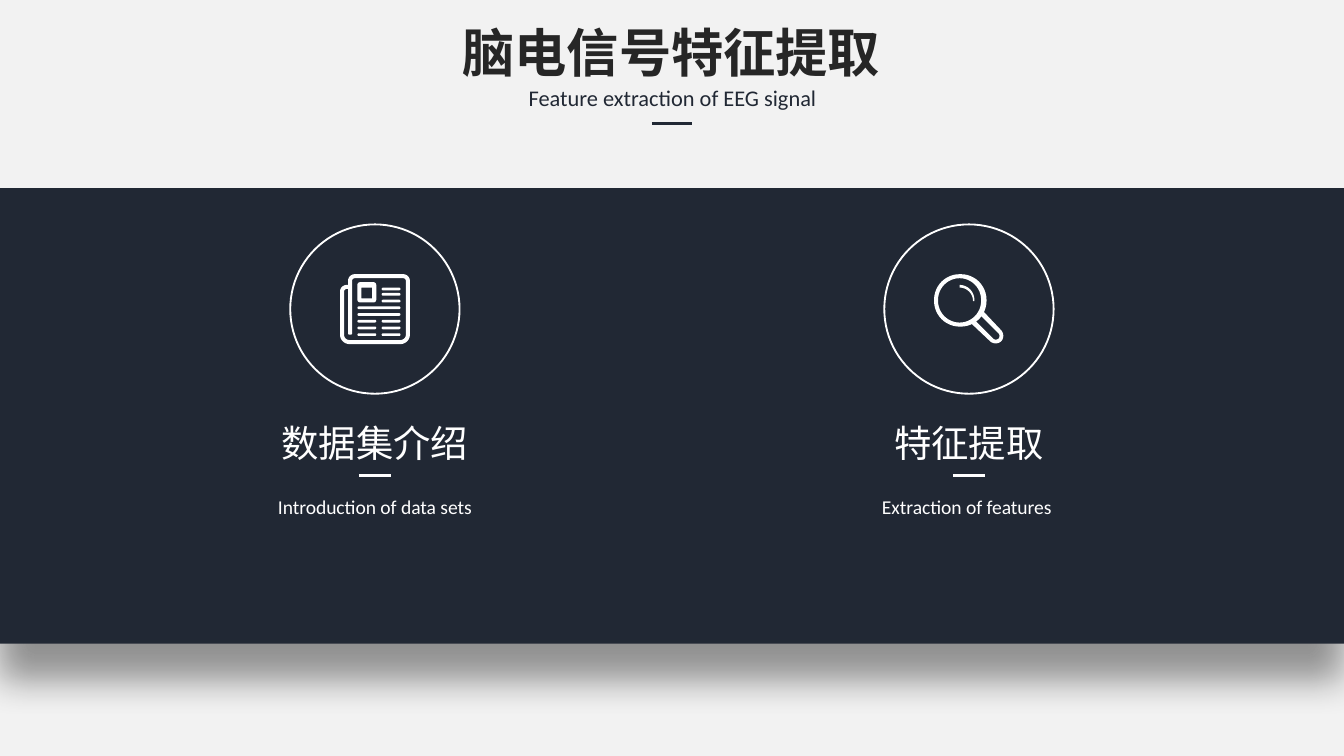
from pptx import Presentation
from pptx.dml.color import RGBColor
from pptx.enum.shapes import MSO_CONNECTOR as CONN, MSO_SHAPE as SHAPE
from pptx.enum.text import MSO_AUTO_SIZE as AUTO, PP_ALIGN as ALIGN
from pptx.oxml import parse_xml
from pptx.oxml.ns import nsdecls
from pptx.util import Inches, Pt

CJK, LATIN = "Noto Sans CJK SC", "Calibri"
NAVY, WHITE, GREY, DARK = "212834", "FFFFFF", "F2F2F2", "262626"

TITLE = "脑电信号特征提取"
SUBTITLE = "Feature extraction of EEG signal"
COLUMNS = [
    (2.79, "数据集介绍", 1.6, "Introduction of data sets", "newspaper"),
    (7.21, "特征提取", 1.32, "Extraction of features ", "magnifier"),
]

ICONS = {
    "newspaper": [
        [[(0, .08, .05), (.06, .08, 0), (.06, 0, .05), (.52, 0, .05), (.52, .52, .07), (0, .52, .07)],
         [(.03, .11, .02), (.06, .11, 0), (.06, .45, .01), (.09, .45, .01), (.09, .03, .02),
          (.49, .03, .02), (.49, .49, .04), (.03, .49, .04)]],
        [[(.13, .06, .02), (.27, .06, .02), (.27, .21, .02), (.13, .21, .02)],
         [(.16, .1, 0), (.24, .1, 0), (.24, .18, 0), (.16, .18, 0)]],
    ],
    "magnifier": [
        [[(0, 0, .19), (.39, 0, .19), (.39, .39, .19), (0, .39, .19)],
         [(.03, .03, .16), (.35, .03, .16), (.35, .36, .16), (.03, .36, .16)]],
        [[(.28, .37, 0), (.37, .28, 0), (.54, .46, .06), (.46, .54, .06)],
         [(.31, .35, 0), (.35, .31, 0), (.5, .46, .03), (.46, .5, .03)]],
        [[(.19, .08, 0), (.3, .08, .11), (.3, .2, 0), (.29, .2, 0), (.29, .1, .1), (.19, .1, 0)]],
    ],
}
LEFT, RIGHT = .13, .31
TEXT_LINES = (
    [(RIGHT, y, .14) for y in (.1, .14, .19)]
    + [(LEFT, y, .32) for y in (.24, .29)]
    + [(x, y, .14) for x in (LEFT, RIGHT) for y in (.34, .39, .44)]
)


def rgb(color):
    return RGBColor.from_string(color)


def paint(sp, fill=None, line=None):
    sp.shadow.inherit = False
    if fill:
        sp.fill.solid()
        sp.fill.fore_color.rgb = rgb(fill)
    else:
        sp.fill.background()
    if line:
        sp.line.color.rgb = rgb(line)
        sp.line.width = Pt(1)
    else:
        sp.line.fill.background()
    return sp


def add_shape(s, kind, x, y, w, h, fill=None, line=None):
    sp = s.shapes.add_shape(kind, Inches(x), Inches(y), Inches(w), Inches(h))
    return paint(sp, fill, line)


def add_text(s, text, x, y, w, h, size, font, color, bold=False, wrap=False, spacing=None):
    tf = s.shapes.add_textbox(Inches(x), Inches(y), Inches(w), Inches(h)).text_frame
    tf.word_wrap = wrap
    tf.auto_size = AUTO.SHAPE_TO_FIT_TEXT
    p = tf.paragraphs[0]
    p.alignment = ALIGN.CENTER
    if spacing:
        p.line_spacing = spacing
    r = p.add_run()
    r.text = text
    r.font.size, r.font.bold, r.font.name = Pt(size), bold, font
    r.font.color.rgb = rgb(color)
    if font == CJK:
        r.font._element.append(parse_xml(f'<a:ea {nsdecls("a")} typeface="{font}"/>'))


def add_rule(s, cx, y, w, color):
    c = s.shapes.add_connector(CONN.STRAIGHT, Inches(cx - w / 2), Inches(y), Inches(cx + w / 2), Inches(y))
    c.line.color.rgb = rgb(color)
    c.line.width = Pt(1.5)
    c._element.spPr.append(parse_xml(f'<a:effectLst {nsdecls("a")}/>'))


def toward(a, b, t):
    return tuple(m + (n - m) * t for m, n in zip(a, b))


def cut(corner, other, radius):
    length = sum((m - n) ** 2 for m, n in zip(corner, other)) ** .5
    return toward(corner, other, min(radius / length, 1))


def round_corners(corners, steps=12):
    points = []
    for i, (x, y, radius) in enumerate(corners):
        corner = (x, y)
        if not radius:
            points.append(corner)
            continue
        a = cut(corner, corners[i - 1][:2], radius)
        d = cut(corner, corners[(i + 1) % len(corners)][:2], radius)
        b, c = toward(a, corner, .55), toward(d, corner, .55)
        for k in range(steps + 1):
            t = k / steps
            ab, bc, cd = toward(a, b, t), toward(b, c, t), toward(c, d, t)
            points.append(toward(toward(ab, bc, t), toward(bc, cd, t), t))
    return points


def add_outline(s, contours, x, y):
    builder = None
    for corners in contours:
        first, *rest = [(Inches(x + px), Inches(y + py)) for px, py in round_corners(corners)]
        if builder:
            builder.move_to(*first)
        else:
            builder = s.shapes.build_freeform(*first)
        builder.add_line_segments(rest, close=True)
    paint(builder.convert_to_shape(), WHITE)


prs = Presentation()
prs.slide_width = Inches(10)
prs.slide_height = prs.slide_width * 9 // 16
s = prs.slides.add_slide(prs.slide_layouts[6])
s.background.fill.solid()
s.background.fill.fore_color.rgb = rgb(GREY)

band = add_shape(s, SHAPE.RECTANGLE, 0, 1.4, 10, 3.39, NAVY)
band._element.spPr.find("{*}effectLst").append(parse_xml(
    f'<a:outerShdw {nsdecls("a")} blurRad="{Pt(20)}" dist="{Pt(20)}" dir="5400000" algn="t" rotWithShape="0">'
    '<a:srgbClr val="000000"><a:alpha val="40000"/></a:srgbClr></a:outerShdw>'))

add_text(s, TITLE, 3.26, .1, 3.47, .57, 28, CJK, DARK, bold=True)
add_text(s, SUBTITLE, 3.82, .58, 2.37, .3, 12, LATIN, NAVY)
add_rule(s, 5, .92, .3, NAVY)

for cx, name, name_w, caption, icon in COLUMNS:
    add_shape(s, SHAPE.OVAL, cx - .63, 1.67, 1.26, 1.26, line=WHITE)
    add_text(s, caption, cx - .94, 3.55, 1.88, .34, 10.5, LATIN, WHITE, wrap=True, spacing=1.5)
    add_text(s, name, cx - name_w / 2, 3.08, name_w, .44, 20, CJK, WHITE)
    add_rule(s, cx, 3.54, .24, WHITE)
    icon_x, icon_y = cx - .26, 2.04
    for contours in ICONS[icon]:
        add_outline(s, contours, icon_x, icon_y)
    if icon == "newspaper":
        for x, y, w in TEXT_LINES:
            bar = add_shape(s, SHAPE.ROUNDED_RECTANGLE, icon_x + x, icon_y + y, w, .02, WHITE)
            bar.adjustments[0] = .5

prs.save("out.pptx")
